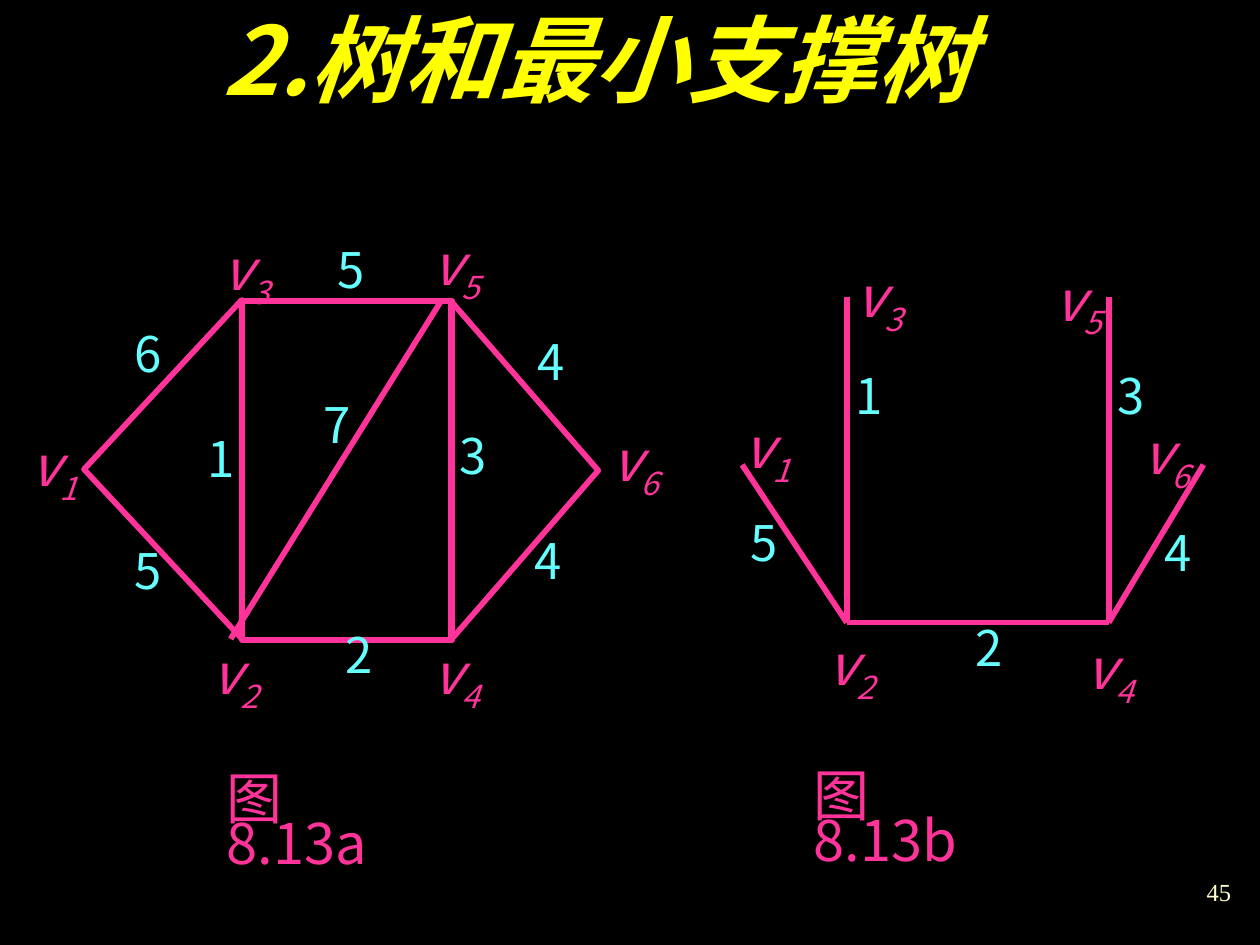
from lxml import etree
from pptx import Presentation
from pptx.dml.color import RGBColor
from pptx.enum.shapes import MSO_CONNECTOR, MSO_SHAPE
from pptx.enum.text import MSO_ANCHOR, MSO_AUTO_SIZE, PP_ALIGN
from pptx.oxml.ns import qn
from pptx.util import Cm, Pt

STRAIGHT = MSO_CONNECTOR.STRAIGHT
RECTANGLE, TRIANGLE = MSO_SHAPE.RECTANGLE, MSO_SHAPE.ISOSCELES_TRIANGLE
TOP, MIDDLE = MSO_ANCHOR.TOP, MSO_ANCHOR.MIDDLE
GROW, FIXED = MSO_AUTO_SIZE.SHAPE_TO_FIT_TEXT, MSO_AUTO_SIZE.NONE
LEFT, RIGHT = PP_ALIGN.LEFT, PP_ALIGN.RIGHT

SANS, SERIF = "Noto Sans CJK SC", "Times New Roman"
PINK, CYAN, YELLOW, CREAM, BLACK = "FF3399", "66FFFF", "FFFF00", "FFFFCC", "000000"

GRAPH_VERTICES = {
    "6": (12.07, 8.59), "5": (8.46, 4.65), "2": (4.01, 12.88),
    "3": (4.24, 4.75), "4": (8.46, 12.88), "1": (0.36, 8.69),
}
GRAPH_WEIGHTS = [
    ("6", 2.46, 6.63), ("2", 6.71, 12.7), ("7", 6.27, 8.05),
    ("5", 2.46, 11), ("3", 9.02, 8.69), ("5", 6.55, 4.93),
    ("4", 10.59, 6.78), ("4", 10.52, 10.8), ("1", 3.94, 8.74),
]
TREE_NODES = {
    "1": (14.96, 9.37), "2": (17.07, 12.55), "3": (17.07, 5.99),
    "4": (22.35, 12.55), "5": (22.35, 5.99), "6": (24.26, 9.37),
}
TREE_EDGES = ["24", "21", "46", "23", "45"]
TREE_VERTICES = {
    "3": (16.99, 5.28), "2": (16.43, 12.7), "1": (14.73, 8.33),
    "4": (21.64, 12.78), "6": (22.78, 8.46), "5": (21.01, 5.36),
}
TREE_WEIGHTS = [
    ("5", 14.88, 10.44), ("3", 22.28, 7.47), ("1", 16.99, 7.47),
    ("4", 23.22, 10.64), ("2", 19.41, 12.55),
]


def color(code):
    """Turn a hex string into a colour."""
    return RGBColor.from_string(code)


class GraphSlide:
    """Hold the line style and the slide that the graphs are drawn on."""

    edge_format = {"width": Pt(3.25)}

    def __init__(self, slide, background):
        """Keep the slide and paint its background."""
        self.slide = slide
        slide.background.fill.solid()
        slide.background.fill.fore_color.rgb = color(background)

    def apply(self, target, values):
        """Set every attribute named in a dict of format values."""
        for name, value in values.items():
            setattr(target, name, value)

    def stroke(self, line):
        """Give a line the look of a graph edge."""
        line.color.rgb = color(PINK)
        self.apply(line, self.edge_format)

    def outline(self, preset, left, top, width, height, rotation=0):
        """Draw an unfilled polygon of edges."""
        polygon = self.slide.shapes.add_shape(
            preset, Cm(left), Cm(top), Cm(width), Cm(height))
        polygon.rotation = rotation
        polygon.shadow.inherit = False
        polygon.fill.background()
        self.stroke(polygon.line)

    def edge(self, start, end):
        """Draw one straight edge between two points."""
        link = self.slide.shapes.add_connector(
            STRAIGHT, *(Cm(value) for value in (*start, *end)))
        etree.SubElement(link._element.spPr, qn("a:effectLst"))
        self.stroke(link.line)

    def text(self, content, box, size, ink, subscript="", font=SANS,
             frame_format=None, paragraph_format=None, **style):
        """Write one paragraph, with an optional subscript."""
        frame = self.slide.shapes.add_textbox(*(Cm(value) for value in box)).text_frame
        self.apply(frame, {"word_wrap": True, "auto_size": GROW,
                           "vertical_anchor": TOP, **(frame_format or {})})
        paragraph = frame.paragraphs[0]
        self.apply(paragraph, {"alignment": LEFT, **(paragraph_format or {})})
        for part, baseline in ((content, 0), (subscript, -25000)):
            if not part:
                continue
            run = paragraph.add_run()
            run.text = part
            self.apply(run.font, {"size": Pt(size), "name": font, **style})
            run.font.color.rgb = color(ink)
            properties = run._r.get_or_add_rPr()
            etree.SubElement(properties, qn("a:ea"), typeface=font)
            if baseline:
                properties.set("baseline", str(baseline))

    def vertex(self, index, left, top):
        """Label a vertex."""
        self.text("v", (left, top, 1.55, 2.57), 32, PINK, subscript=index,
                  paragraph_format={"line_spacing": 0.8}, italic=True)

    def weight(self, value, left, top):
        """Label an edge with its weight."""
        self.text(value, (left, top, 1.55, 1.19), 28, CYAN,
                  paragraph_format={"line_spacing": 0.8})

    def caption(self, content, left, top):
        """Write a figure caption that breaks before its number."""
        self.text(content, (left, top, 4.75, 1.35), 32, PINK,
                  frame_format={"margin_right": Cm(1.2)},
                  paragraph_format={"line_spacing": 0.67})

    def labels(self, vertices, weights):
        """Label all vertices and edges of one graph."""
        for index, place in vertices.items():
            self.vertex(index, *place)
        for label in weights:
            self.weight(*label)


def main():
    """Build the slide and save it."""
    deck = Presentation()
    deck.slide_width, deck.slide_height = Cm(25.4), Cm(19.05)
    page = GraphSlide(deck.slides.add_slide(deck.slide_layouts[6]), BLACK)
    centered = {"vertical_anchor": MIDDLE, "auto_size": FIXED}

    page.text("2.树和最小支撑树", (4.24, -0.43, 21.59, 3.18), 54, YELLOW,
              frame_format=centered, bold=True, italic=True)

    page.outline(RECTANGLE, 4.88, 6.07, 4.24, 6.83)
    page.edge((8.89, 6.07), (4.65, 12.88))
    page.outline(TRIANGLE, 7.16, 8, 6.83, 2.97, rotation=90)
    page.outline(TRIANGLE, -0.13, 7.87, 6.83, 3.18, rotation=270)
    page.labels(GRAPH_VERTICES, GRAPH_WEIGHTS)
    page.caption("图8.13a", 4.32, 15.67)

    for start, end in TREE_EDGES:
        page.edge(TREE_NODES[start], TREE_NODES[end])
    page.labels(TREE_VERTICES, TREE_WEIGHTS)
    page.caption("图8.13b", 16.15, 15.6)

    page.text("45", (19.79, 17.35, 5.28, 1.27), 14, CREAM, font=SERIF,
              frame_format=centered, paragraph_format={"alignment": RIGHT})
    deck.save("out.pptx")


if __name__ == "__main__":
    main()
